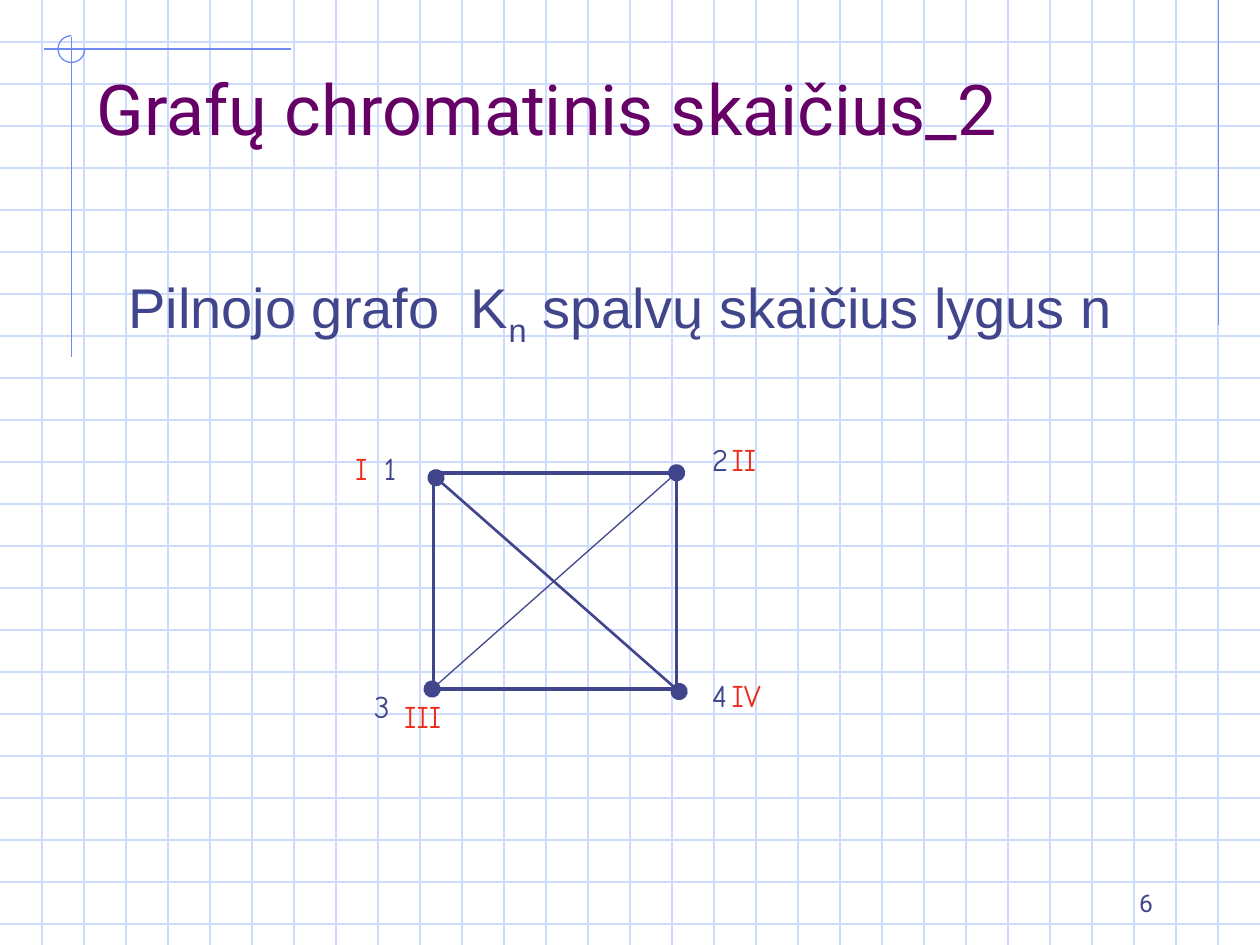
from typing import NamedTuple

from lxml.etree import SubElement
from pptx import Presentation
from pptx.dml.color import RGBColor
from pptx.enum.shapes import MSO_CONNECTOR, MSO_SHAPE
from pptx.enum.text import MSO_ANCHOR, PP_ALIGN
from pptx.oxml.ns import qn
from pptx.util import Cm, Pt

WIDTH, HEIGHT = 25.4, 19.05
COLUMNS = 30
STEP = WIDTH / COLUMNS

GRID = RGBColor(0xCF, 0xDB, 0xFD)
ORNAMENT = RGBColor(0x6F, 0x89, 0xF7)
INK = RGBColor(0x40, 0x45, 0x8C)
PURPLE = RGBColor(0x66, 0x00, 0x66)
RED = RGBColor(0xED, 0x2D, 0x19)


class Line(NamedTuple):
    x1: float
    y1: float
    x2: float
    y2: float
    color: RGBColor
    weight: float = 0.75
    dots: bool = False


class Label(NamedTuple):
    runs: tuple[str, ...]
    x: float
    y: float
    w: float
    h: float = 1.02
    color: RGBColor = INK
    size: int = 18
    font: str = "Comic Neue"
    align: PP_ALIGN = PP_ALIGN.LEFT
    anchor: MSO_ANCHOR = MSO_ANCHOR.TOP


GRID_LINES = [
    Line(0, i * STEP, WIDTH, i * STEP, GRID) for i in range(1, int(HEIGHT / STEP) + 1)
] + [Line(i * STEP, 0, i * STEP, HEIGHT, GRID) for i in range(1, COLUMNS)]

ORNAMENT_LINES = [
    Line(24.56, 0, 24.56, 6.55, ORNAMENT),
    Line(5.87, 0.99, 0.89, 0.99, ORNAMENT),
    Line(1.44, 0.74, 1.44, 7.19, ORNAMENT),
]

DIAGONALS = [
    Line(8.79, 9.63, 13.69, 13.94, INK, 1.5, True),
    Line(8.71, 13.89, 13.64, 9.53, INK, 0.75, True),
]

LABELS = [
    Label(("6",), 18.21, 17.35, 5.28, 1.27, INK, 14, "Roboto",
          PP_ALIGN.RIGHT, MSO_ANCHOR.BOTTOM),
    Label(("Grafų chromatinis skaičius_2",), 1.7, 0.84, 21.59, 2.29, PURPLE, 40,
          "Roboto", anchor=MSO_ANCHOR.BOTTOM),
    Label(("Pilnojo grafo  K", "n", " spalvų skaičius lygus n"),
          2.34, 5.36, 21.59, 11.43, INK, 32, "Arial"),
    Label(("1",), 7.49, 8.92, 0.81),
    Label(("2",), 14.1, 8.74, 1.19),
    Label(("3",), 7.29, 13.72, 1.19),
    Label(("4",), 14.1, 13.51, 0.81),
    Label(("I",), 6.91, 8.92, 0.99, color=RED),
    Label(("II",), 14.5, 8.74, 1.6, color=RED),
    Label(("III",), 7.9, 13.92, 1.8, color=RED),
    Label(("IV",), 14.5, 13.51, 1.8, color=RED),
]


def draw_line(shapes, line: Line) -> None:
    cxn = shapes.add_connector(
        MSO_CONNECTOR.STRAIGHT,
        Cm(line.x1), Cm(line.y1), Cm(line.x2), Cm(line.y2),
    )
    cxn.line.color.rgb = line.color
    cxn.line.width = Pt(line.weight)
    if line.dots:
        ln = cxn.line._get_or_add_ln()
        for end in ("a:headEnd", "a:tailEnd"):
            SubElement(ln, qn(end), type="oval", w="lg", len="lg")
    SubElement(cxn._element.spPr, qn("a:effectLst"))


def draw_outline(shapes, kind: MSO_SHAPE, x: float, y: float, w: float, h: float,
                 color: RGBColor, weight: float):
    sp = shapes.add_shape(kind, Cm(x), Cm(y), Cm(w), Cm(h))
    sp.shadow.inherit = False
    sp.fill.background()
    sp.line.color.rgb = color
    sp.line.width = Pt(weight)
    return sp


def draw_label(shapes, label: Label) -> None:
    sp = shapes.add_textbox(Cm(label.x), Cm(label.y), Cm(label.w), Cm(label.h))
    tf = sp.text_frame
    tf.word_wrap = True
    tf.vertical_anchor = label.anchor
    p = tf.paragraphs[0]
    p.alignment = label.align
    p.font.name = label.font
    p.font.size = Pt(label.size)
    p.font.color.rgb = label.color
    for i, text in enumerate(label.runs):
        r = p.add_run()
        r.text = text
        if i == 1:
            r._r.get_or_add_rPr().set("baseline", "-25000")


def main() -> None:
    prs = Presentation()
    prs.slide_width, prs.slide_height = Cm(WIDTH), Cm(HEIGHT)
    s = prs.slides.add_slide(prs.slide_layouts[6])

    for line in GRID_LINES + ORNAMENT_LINES:
        draw_line(s.shapes, line)
    arc = draw_outline(s.shapes, MSO_SHAPE.ARC, 1.17, 0.72, 0.54, 0.54, ORNAMENT, 0.75)
    arc.adjustments[0] = 0
    arc.adjustments[1] = 162

    draw_outline(s.shapes, MSO_SHAPE.RECTANGLE, 8.74, 9.53, 4.9, 4.37, INK, 2.25)
    for line in DIAGONALS:
        draw_line(s.shapes, line)
    for label in LABELS:
        draw_label(s.shapes, label)

    prs.save("out.pptx")


if __name__ == "__main__":
    main()
